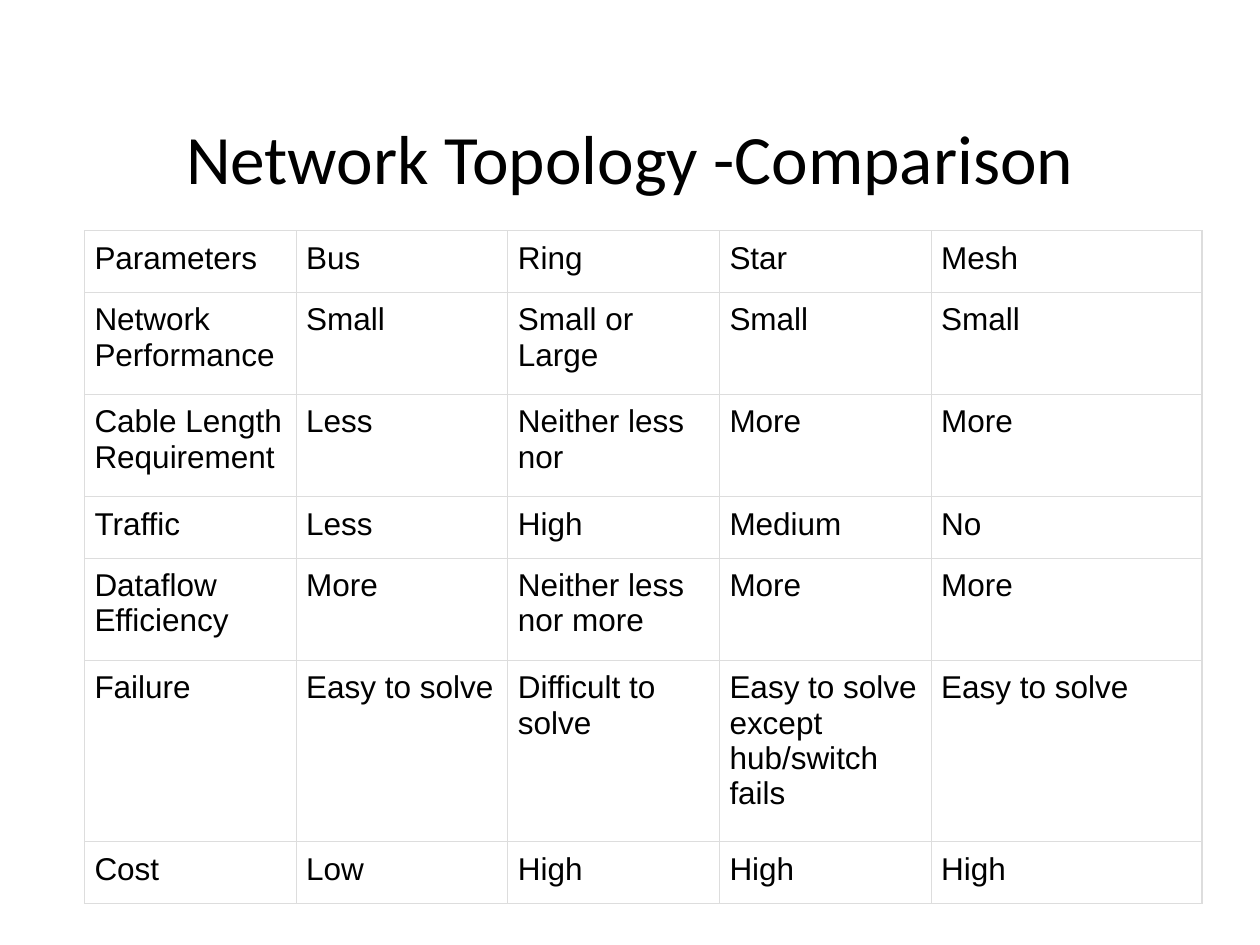
from lxml import etree
from pptx import Presentation
from pptx import util as u
from pptx.dml.color import RGBColor
from pptx.enum import text
from pptx.oxml.ns import qn

BLACK = RGBColor(0x00, 0x00, 0x00)
WHITE = RGBColor(0xFF, 0xFF, 0xFF)
GREY = RGBColor(0xDD, 0xDD, 0xDD)

COLUMNS = [1.68] * 4 + [2.15]
ONE_LINE, TWO_LINES, FOUR_LINES = 0.49, 0.81, 1.44
ROWS = [
    (ONE_LINE, ["Parameters", "Bus", "Ring", "Star", "Mesh"]),
    (TWO_LINES, ["Network Performance", "Small", "Small or Large", "Small", "Small"]),
    (TWO_LINES, ["Cable Length Requirement", "Less", "Neither less nor", "More", "More"]),
    (ONE_LINE, ["Traffic", "Less", "High", "Medium", "No"]),
    (TWO_LINES, ["Dataflow Efficiency", "More", "Neither less nor more", "More", "More"]),
    (FOUR_LINES, ["Failure", "Easy to solve", "Difficult to solve",
                  "Easy to solve except hub/switch fails", "Easy to solve"]),
    (ONE_LINE, ["Cost", "Low", "High", "High", "High"]),
]


class Deck:
    """Holds the style and the current slide."""
    title_font, title_size = "Calibri", 39.6
    body_font, body_size = "Arial", 18
    cell_margin, border = 0.08, 0.75

    def __init__(self, width, height):
        self.prs = Presentation()
        self.prs.slide_width, self.prs.slide_height = u.Inches(width), u.Inches(height)
        self.s = self.prs.slides.add_slide(self.prs.slide_layouts[6])

    def set_text(self, tf, words, font, size):
        tf.text = words
        for r in tf.paragraphs[0].runs:
            r.font.name, r.font.size = font, u.Pt(size)
            r.font.color.rgb = BLACK

    def title(self, words, left, top, width, height):
        """Place a centred title; lengths are shares of the slide."""
        w, h = self.prs.slide_width, self.prs.slide_height
        sp = self.s.shapes.add_textbox(int(left * w), int(top * h),
                                       int(width * w), int(height * h))
        tf = sp.text_frame
        tf.word_wrap = True
        tf.vertical_anchor = text.MSO_ANCHOR.BOTTOM
        tf.margin_bottom = 0
        self.set_text(tf, words, self.title_font, self.title_size)
        tf.paragraphs[0].alignment = text.PP_ALIGN.CENTER

    def outline(self, cell):
        tcPr = cell._tc.get_or_add_tcPr()
        for side in ("a:lnL", "a:lnR", "a:lnT", "a:lnB"):
            ln = etree.SubElement(tcPr, qn(side), w=str(u.Pt(self.border)))
            fill = etree.SubElement(ln, qn("a:solidFill"))
            etree.SubElement(fill, qn("a:srgbClr"), val=str(GREY))

    def table(self, rows, columns, left, top):
        """Place a table; left and top are shares of the slide."""
        frame = self.s.shapes.add_table(
            len(rows), len(columns),
            int(left * self.prs.slide_width), int(top * self.prs.slide_height),
            u.Inches(sum(columns)), u.Inches(sum(h for h, _ in rows)))
        tbl = frame.table
        tbl.first_row = tbl.horz_banding = False
        for column, width in zip(tbl.columns, columns):
            column.width = u.Inches(width)
        for row, (height, words) in zip(tbl.rows, rows):
            row.height = u.Inches(height)
            for cell, entry in zip(row.cells, words):
                cell.margin_left = cell.margin_right = u.Inches(self.cell_margin)
                cell.margin_top = cell.margin_bottom = u.Inches(self.cell_margin)
                self.outline(cell)
                cell.fill.solid()
                cell.fill.fore_color.rgb = WHITE
                self.set_text(cell.text_frame, entry, self.body_font, self.body_size)


def main():
    deck = Deck(10, 7.5)
    # Heading
    deck.title("Network Topology -Comparison", 0.05, 0.04, 0.9, 0.17)
    # Comparison of the four topologies
    deck.table(ROWS, COLUMNS, 0.067, 0.244)
    deck.prs.save("out.pptx")


if __name__ == "__main__":
    main()
